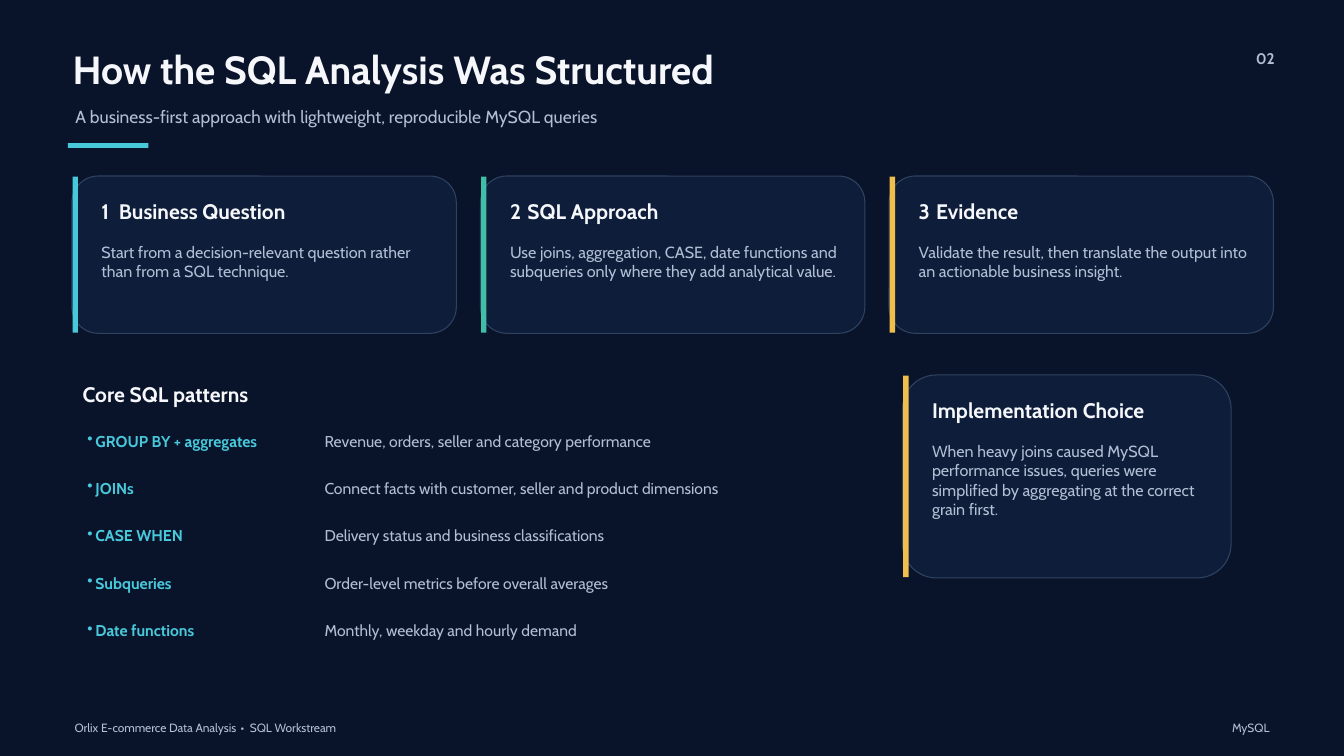
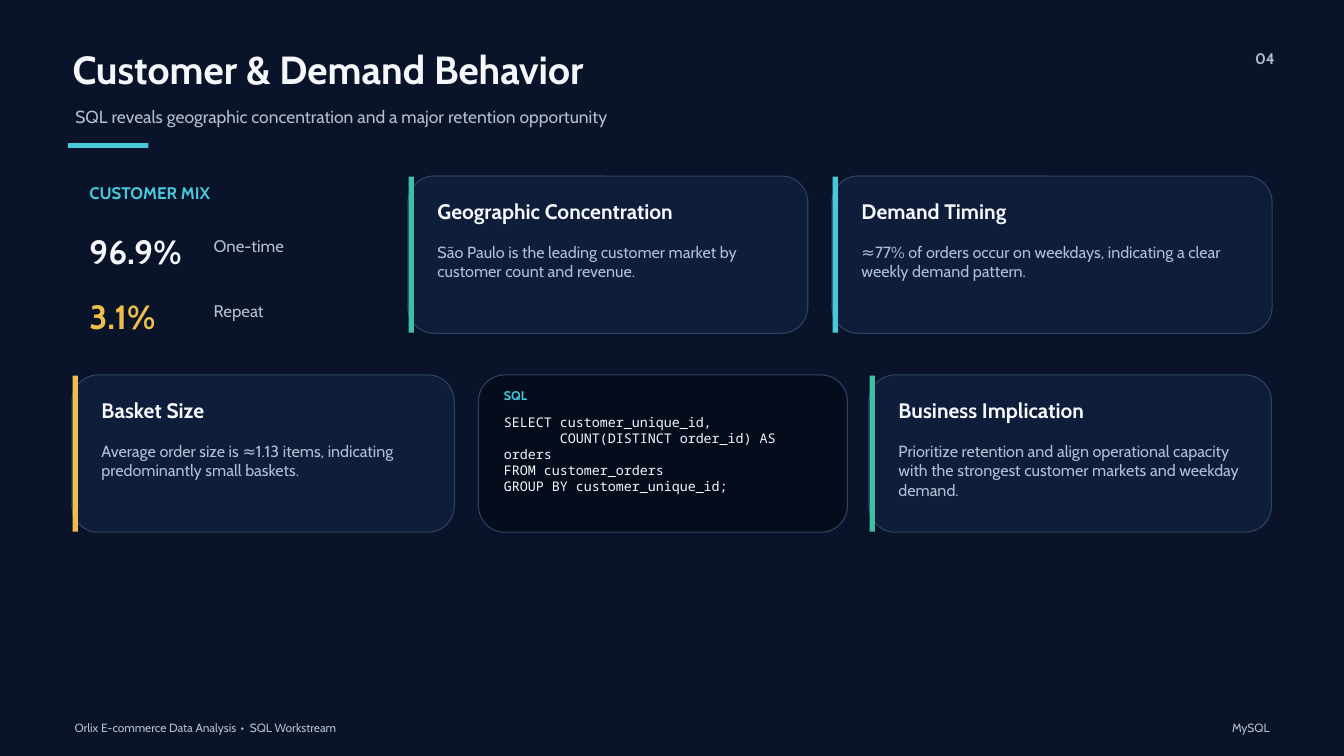
from lxml import etree
from pptx import Presentation
from pptx.dml.color import RGBColor
from pptx.enum.shapes import MSO_SHAPE
from pptx.enum.text import MSO_AUTO_SIZE, PP_ALIGN
from pptx.oxml.ns import qn
from pptx.util import Inches, Pt

RECT, ROUNDED = MSO_SHAPE.RECTANGLE, MSO_SHAPE.ROUNDED_RECTANGLE
LEFT, RIGHT = PP_ALIGN.LEFT, PP_ALIGN.RIGHT
FIT = MSO_AUTO_SIZE.SHAPE_TO_FIT_TEXT

NAVY, PANEL, CODE_BG, BORDER = "09142B", "0E1D3A", "050D1D", "2F4260"
WHITE, MUTED = "F5F7FA", "B1BED3"
CYAN, GREEN, AMBER = "48C9DB", "41BEA6", "EFBE4C"
SANS, MONO = "Cabin", "Noto Sans Mono"
TOP_ROW, LOWER_ROW, CARD_H = 2.62, 5.58, 2.34
MARGIN = 1.07


def rgb(color):
    return RGBColor.from_string(color)


class Deck:
    """Holds the shared style and the current slide."""

    def __init__(self):
        self.prs = Presentation()
        self.prs.slide_width = Inches(20)
        self.prs.slide_height = Inches(11.25)
        self.s = None

    def slide(self, number, title, subtitle):
        self.s = self.prs.slides.add_slide(self.prs.slide_layouts[6])
        fill = self.s.background.fill
        fill.solid()
        fill.fore_color.rgb = rgb(NAVY)
        self.text(1.08, 0.68, 17.06, 0.73, title, 42, WHITE, True)
        self.text(1.12, 1.58, 16.91, 0.43, subtitle, 18.75)
        self.text(18.34, 0.73, 0.63, 0.35, number, 16.5, bold=True, align=RIGHT)
        self.shape(RECT, 1.01, 2.13, 1.2, 0.07, CYAN)
        self.text(1.11, 10.73, 12.56, 0.21,
                  "Orlix E-commerce Data Analysis\t•\tSQL Workstream",
                  12.75, tabs=(2.47, 2.61))
        self.text(17.44, 10.73, 1.45, 0.21, "MySQL", 12.75, align=RIGHT)

    def shape(self, kind, x, y, w, h, color, border=None):
        sp = self.s.shapes.add_shape(kind, Inches(x), Inches(y), Inches(w), Inches(h))
        sp.shadow.inherit = False
        sp.fill.solid()
        sp.fill.fore_color.rgb = rgb(color)
        if border:
            sp.line.color.rgb = rgb(border)
            sp.line.width = Pt(1.13)
        else:
            sp.line.fill.background()

    def text(self, x, y, w, h, text, size, color=MUTED, bold=False,
             align=LEFT, font=SANS, bullet=False, tabs=()):
        sp = self.s.shapes.add_textbox(Inches(x), Inches(y), Inches(w), Inches(h))
        tf = sp.text_frame
        tf.word_wrap = True
        tf.auto_size = FIT
        tf.margin_left = tf.margin_right = tf.margin_top = tf.margin_bottom = 0
        for i, line in enumerate(text.split("\n")):
            p = tf.add_paragraph() if i else tf.paragraphs[0]
            p.alignment = align
            p.line_spacing = Pt(1.2 * size)
            if bullet:
                self.bullet(p)
            if tabs:
                self.tabs(p, tabs)
            r = p.add_run()
            r.text = line
            r.font.name, r.font.size, r.font.bold = font, Pt(size), bold
            r.font.color.rgb = rgb(color)

    def bullet(self, p):
        pPr = p._p.get_or_add_pPr()
        indent = Inches(0.12)
        pPr.set("marL", str(indent))
        pPr.set("indent", str(-indent))
        etree.SubElement(pPr, qn("a:buChar"), char="•")

    def tabs(self, p, stops):
        tab_list = etree.SubElement(p._p.get_or_add_pPr(), qn("a:tabLst"))
        for stop in stops:
            etree.SubElement(tab_list, qn("a:tab"), pos=str(Inches(stop)), algn="l")

    def card(self, x, y, w, accent, title, body, h=CARD_H, tabs=()):
        self.shape(ROUNDED, x, y, w, h, PANEL, BORDER)
        self.shape(RECT, x + 0.01, y + 0.01, 0.08, h - 0.02, accent)
        self.text(x + 0.44, y + 0.33, w - 0.82, 0.38, title, 22.5, WHITE, True, tabs=tabs)
        self.text(x + 0.44, y + 0.99, w - 0.82, h - 1.28, body, 17.25)

    def code(self, x, y, w, label, source):
        self.shape(ROUNDED, x, y, w, CARD_H, CODE_BG, BORDER)
        self.text(x + 0.38, y + 0.19, 0.4, 0.21, label, 13.5, CYAN, True)
        self.text(x + 0.38, y + 0.58, w - 0.75, 1.55, source, 14.25, WHITE, font=MONO)

    def pattern(self, y, name, use):
        self.text(1.3, y, 3.85, 0.36, name, 16.8, CYAN, True, bullet=True)
        self.text(4.83, y, 12.56, 0.36, use, 16.8)

    def metric(self, y, value, label, color):
        self.text(1.33, y, 1.68, 0.58, value, 36, color, True)
        self.text(3.18, y + 0.07, 1.9, 0.35, label, 18)


STEPS = [
    (CYAN, "Business Question",
     "Start from a decision-relevant question rather than from a SQL technique."),
    (GREEN, "SQL Approach",
     "Use joins, aggregation, CASE, date functions and subqueries only where they add analytical value."),
    (AMBER, "Evidence",
     "Validate the result, then translate the output into an actionable business insight."),
]
PATTERNS = [
    ("GROUP BY + aggregates", "Revenue, orders, seller and category performance"),
    ("JOINs", "Connect facts with customer, seller and product dimensions"),
    ("CASE WHEN", "Delivery status and business classifications"),
    ("Subqueries", "Order-level metrics before overall averages"),
    ("Date functions", "Monthly, weekday and hourly demand"),
]
QUERY = """SELECT customer_unique_id,
       COUNT(DISTINCT order_id) AS orders
FROM customer_orders
GROUP BY customer_unique_id;"""


def structure_slide(deck):
    deck.slide("02", "How the SQL Analysis Was Structured",
               "A business-first approach with lightweight, reproducible MySQL queries")
    for i, (accent, title, body) in enumerate(STEPS):
        deck.card(MARGIN + 6.08 * i, TOP_ROW, 5.72, accent, f"{i + 1}\t{title}", body,
                  tabs=(0.26,))
    deck.text(1.23, 5.68, 4.6, 0.43, "Core SQL patterns", 22.5, WHITE, True)
    for i, (name, use) in enumerate(PATTERNS):
        deck.pattern(6.42 + 0.705 * i, name, use)
    deck.card(13.43, LOWER_ROW, 4.89, AMBER, "Implementation Choice",
              "When heavy joins caused MySQL performance issues, queries were "
              "simplified by aggregating at the correct grain first.", h=3.02)


def behavior_slide(deck):
    deck.slide("04", "Customer & Demand Behavior",
               "SQL reveals geographic concentration and a major retention opportunity")
    deck.text(1.33, 2.72, 3.1, 0.35, "CUSTOMER MIX", 18, CYAN, True)
    deck.metric(3.43, "96.9%", "One-time", WHITE)
    deck.metric(4.4, "3.1%", "Repeat", AMBER)
    deck.card(6.07, TOP_ROW, 5.95, GREEN, "Geographic Concentration",
              "São Paulo is the leading customer market by customer count and revenue.")
    deck.card(12.38, TOP_ROW, 6.55, CYAN, "Demand Timing",
              "≈77% of orders occur on weekdays, indicating a clear weekly demand pattern.")
    deck.card(MARGIN, LOWER_ROW, 5.69, AMBER, "Basket Size",
              "Average order size is ≈1.13 items, indicating predominantly small baskets.")
    deck.code(7.12, LOWER_ROW, 5.49, "SQL", QUERY)
    deck.card(12.93, LOWER_ROW, 5.99, GREEN, "Business Implication",
              "Prioritize retention and align operational capacity with the strongest "
              "customer markets and weekday demand.")


def main():
    deck = Deck()
    structure_slide(deck)
    behavior_slide(deck)
    deck.prs.save("out.pptx")


if __name__ == "__main__":
    main()
